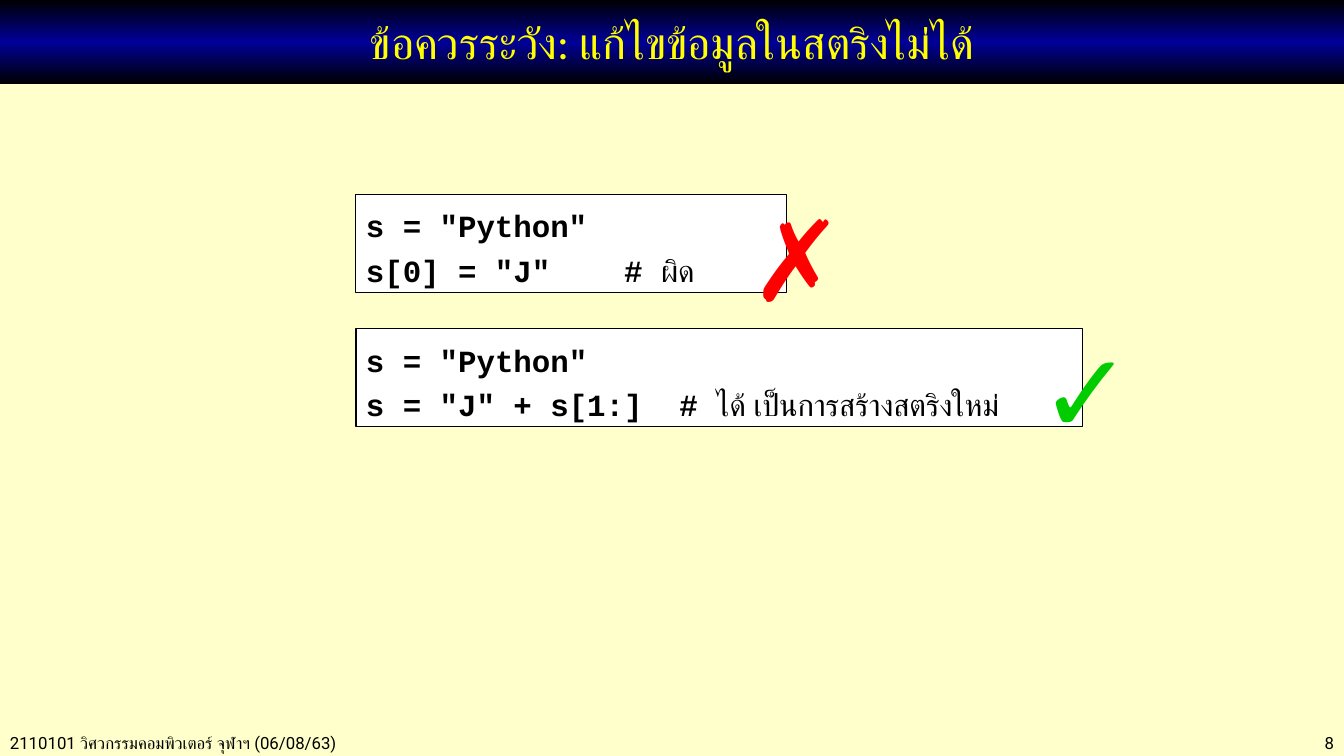
from copy import deepcopy
from dataclasses import dataclass

from pptx import Presentation
from pptx.dml.color import RGBColor as Color
from pptx.enum.shapes import MSO_SHAPE as Preset
from pptx.enum.text import MSO_ANCHOR as Anchor
from pptx.enum.text import MSO_AUTO_SIZE as AutoSize
from pptx.enum.text import PP_ALIGN as Align
from pptx.util import Pt

TITLE = "ข้อควรระวัง: แก้ไขข้อมูลในสตริงไม่ได้"
FOOTER = "2110101 วิศวกรรมคอมพิวเตอร์ จุฬาฯ (06/08/63)"
PAGE_NUMBER = "8"
EXAMPLES = [
    {"lines": ['s = "Python"', 's[0] = "J"    # '], "remark": "ผิด", "width": 307.5},
    {"lines": ['s = "Python"', 's = "J" + s[1:]  # '],
     "remark": "ได้ เป็นการสร้างสตริงใหม่", "width": 519},
]
MARKS = [
    ("✓", "00CC00", (735.1, 226, 77.8, 104.4)),
    ("✗", "FF0000", (529.2, 131.8, 66.2, 104.4)),
]


@dataclass(frozen=True)
class Theme:
    background: str = "FFFFCC"
    ink: str = "000000"
    paper: str = "FFFFFF"
    title_ink: str = "FFFF00"
    title_band: tuple = ("000000", "000099", "000000")
    title_font: str = "Calibri"
    code_font: str = "Courier New"
    body_font: str = "Roboto"
    title_size: int = 32
    code_size: int = 22
    footer_size: int = 12
    mark_size: int = 80


THEME = Theme()
SLIDE_WIDTH, SLIDE_HEIGHT = 960, 540
TITLE_HEIGHT = 60
CODE_LEFT, CODE_TOP, CODE_HEIGHT, CODE_PITCH = 254.3, 139, 69.8, 96
FOOTER_HEIGHT, FOOTER_WIDTH, NUMBER_WIDTH = 21.6, 374.4, 132


def points(box):
    return [Pt(value) for value in box]


def add_run(paragraph, text, font, size, color, bold=None):
    run = paragraph.add_run()
    run.text = text
    run.font.name = font
    run.font.size = Pt(size)
    run.font.bold = bold
    run.font.color.rgb = Color.from_string(color)


def add_label(slide, box, text, size, color, align=Align.LEFT, wrap=True):
    frame = slide.shapes.add_textbox(*points(box)).text_frame
    frame.word_wrap = wrap
    frame.auto_size = AutoSize.SHAPE_TO_FIT_TEXT
    paragraph = frame.paragraphs[0]
    paragraph.alignment = align
    add_run(paragraph, text, THEME.body_font, size, color)


def add_rectangle(slide, box):
    shape = slide.shapes.add_shape(Preset.RECTANGLE, *points(box))
    shape.shadow.inherit = False
    shape.text_frame.word_wrap = True
    return shape


def add_title(slide):
    shape = add_rectangle(slide, (0, 0, SLIDE_WIDTH, TITLE_HEIGHT))
    shape.line.fill.background()
    shape.fill.gradient()
    shape.fill.gradient_angle = 90
    stop_list = shape._element.spPr.gradFill.gsLst
    stop_list.append(deepcopy(stop_list[0]))
    for index, stop in enumerate(shape.fill.gradient_stops):
        stop.position = index / (len(THEME.title_band) - 1)
        stop.color.rgb = Color.from_string(THEME.title_band[index])
    shape.text_frame.vertical_anchor = Anchor.MIDDLE
    paragraph = shape.text_frame.paragraphs[0]
    paragraph.alignment = Align.CENTER
    add_run(paragraph, TITLE, THEME.title_font, THEME.title_size, THEME.title_ink)


def add_example(slide, index, example):
    top = CODE_TOP + index * CODE_PITCH
    shape = add_rectangle(slide, (CODE_LEFT, top, example["width"], CODE_HEIGHT))
    shape.fill.solid()
    shape.fill.fore_color.rgb = Color.from_string(THEME.paper)
    shape.line.color.rgb = Color.from_string(THEME.ink)
    shape.line.width = Pt(0.75)
    frame = shape.text_frame
    frame.vertical_anchor = Anchor.TOP
    frame.auto_size = AutoSize.SHAPE_TO_FIT_TEXT
    paragraph = frame.paragraphs[0]
    paragraph.alignment = Align.LEFT
    paragraph.line_spacing = 1.2
    style = (THEME.code_font, THEME.code_size, THEME.ink)
    for number, line in enumerate(example["lines"]):
        if number:
            paragraph.add_line_break()
        add_run(paragraph, line, *style, bold=True)
    add_run(paragraph, example["remark"], *style, bold=False)


def main():
    presentation = Presentation()
    presentation.slide_width = Pt(SLIDE_WIDTH)
    presentation.slide_height = Pt(SLIDE_HEIGHT)
    slide = presentation.slides.add_slide(presentation.slide_layouts[6])
    slide.background.fill.solid()
    slide.background.fill.fore_color.rgb = Color.from_string(THEME.background)

    footer_top = SLIDE_HEIGHT + 1.4 - FOOTER_HEIGHT
    add_label(slide, (0, footer_top, FOOTER_WIDTH, FOOTER_HEIGHT),
              FOOTER, THEME.footer_size, THEME.ink)
    add_label(slide, (SLIDE_WIDTH - NUMBER_WIDTH, footer_top, NUMBER_WIDTH, FOOTER_HEIGHT),
              PAGE_NUMBER, THEME.footer_size, THEME.ink, Align.RIGHT)
    add_title(slide)
    for index, example in enumerate(EXAMPLES):
        add_example(slide, index, example)
    for mark, color, box in MARKS:
        add_label(slide, box, mark, THEME.mark_size, color, wrap=False)
    presentation.save("out.pptx")


if __name__ == "__main__":
    main()
